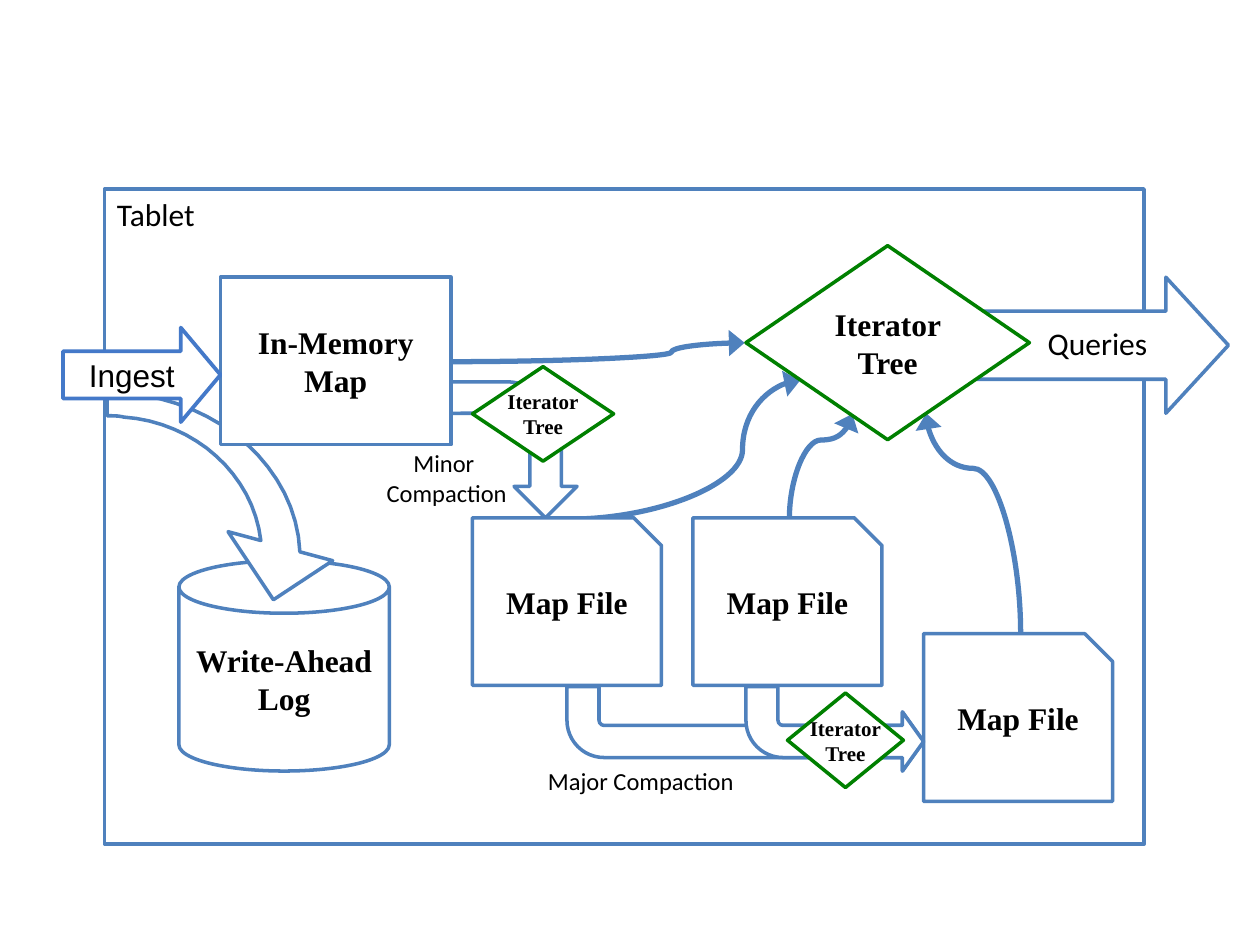
import pptx
import pptx.util
from pptx.dml.color import RGBColor
from pptx.enum.shapes import MSO_CONNECTOR, MSO_SHAPE
from pptx.enum.text import MSO_ANCHOR, PP_ALIGN
from pptx.oxml.ns import qn
from lxml import etree

BLUE = RGBColor(0x4F, 0x81, 0xBD)
INGEST_BLUE = RGBColor(0x44, 0x79, 0xC9)
GREEN = RGBColor(0, 0x80, 0)
WHITE = RGBColor(255, 255, 255)
BLACK = RGBColor(0, 0, 0)
SERIF, SANS, ARIAL = "Times New Roman", "Calibri", "Arial"

UNITS_PER_INCH = 1000
MAP_WIDTH, MAP_HEIGHT, MAP_CORNER = 1.5, 1.33, 0.22
MAP_FILES = {"lower": (7.33, 5.03), "left": (3.75, 4.11), "right": (5.5, 4.11)}
MAJOR_STARTS = (4.5, 5.92)
MAJOR_TOP, MAJOR_TIP, MAJOR_HEIGHT = 5.45, 7.33, 0.67
MAJOR_BEND = (0.38, 0.35, 0.25, 0.44)
MINOR_BEND = (0.25, 0.25, 0.25, 0.44)
LOG_ARROW_START = (0.85, 3.11)
LOG_ARROW = [
    [(0.89, 3.11), (0.94, 3.11), (0.99, 3.12)],
    [(1.75, 3.18), (2.35, 3.72), (2.38, 4.38)],
    [(2.64, 4.45)], [(2.17, 4.76)], [(1.81, 4.22)], [(2.07, 4.29)],
    [(2.01, 3.77), (1.55, 3.35), (0.98, 3.31)],
    [(0.94, 3.3), (0.89, 3.3), (0.85, 3.3)],
]
QUERY_CURVES = [
    ((3.58, 2.72, 2.33, 0.15), 180, "flipV"),
    ((6.1, 3.45, 0.83, 0.5), 90, None),
    ((4.52, 3.02, 1.83, 1.1), 180, "flipV"),
    ((6.85, 3.78, 1.75, 0.75), 270, "flipH"),
]

deck = pptx.Presentation()
deck.slide_width = pptx.util.Inches(10)
deck.slide_height = pptx.util.Inches(7.5)
page = deck.slides.add_slide(deck.slide_layouts[6])


def inches(values):
    return [pptx.util.Inches(value) for value in values]


def paint(shape, color=BLUE, width=2):
    shape.shadow.inherit = False
    shape.fill.solid()
    shape.fill.fore_color.rgb = WHITE
    shape.line.color.rgb = color
    shape.line.width = pptx.util.Pt(width)


def write(shape, lines, size=18, font=SERIF, align=PP_ALIGN.CENTER,
          anchor=MSO_ANCHOR.MIDDLE, side=0.1, wrap=True):
    frame = shape.text_frame
    frame.word_wrap = wrap
    frame.vertical_anchor = anchor
    frame.margin_left = frame.margin_right = pptx.util.Inches(side)
    frame.margin_top = frame.margin_bottom = pptx.util.Inches(0.05)
    for index, line in enumerate(lines):
        para = frame.paragraphs[0] if index == 0 else frame.add_paragraph()
        para.alignment = align
        span = para.add_run()
        span.text = line
        span.font.size = pptx.util.Pt(size)
        span.font.name = font
        span.font.bold = font == SERIF
        span.font.color.rgb = BLACK


def add_box(kind, place, adjustments=(), color=BLUE, width=2):
    box = page.shapes.add_shape(kind, *inches(place))
    paint(box, color, width)
    for index, value in enumerate(adjustments):
        box.adjustments[index] = value
    return box


def add_outline(points):
    corners = [(round(x * UNITS_PER_INCH), round(y * UNITS_PER_INCH)) for x, y in points]
    builder = page.shapes.build_freeform(
        *corners[0], scale=pptx.util.Inches(1) / UNITS_PER_INCH)
    builder.add_line_segments(corners[1:], close=True)
    outline = builder.convert_to_shape()
    paint(outline)
    return outline


def add_label(place, lines, size=14, align=PP_ALIGN.CENTER):
    label = page.shapes.add_textbox(*inches(place))
    write(label, lines, size, SANS, align, MSO_ANCHOR.TOP)


def add_map_file(name):
    left, top = MAP_FILES[name]
    right, bottom = left + MAP_WIDTH, top + MAP_HEIGHT
    sheet = add_outline([(left, top), (right - MAP_CORNER, top),
                         (right, top + MAP_CORNER), (right, bottom), (left, bottom)])
    write(sheet, ["Map File"])


def add_iterator_tree(place, lines, size=12, side=0, wrap=False):
    diamond = add_box(MSO_SHAPE.FLOWCHART_DECISION, place, color=GREEN)
    write(diamond, lines, size, side=side, wrap=wrap)


def curve_points(start, controls, steps=16):
    first, second, end = controls
    for step in range(1, steps + 1):
        t = step / steps
        yield tuple((1 - t) ** 3 * a + 3 * (1 - t) ** 2 * t * b
                    + 3 * (1 - t) * t ** 2 * c + t ** 3 * d
                    for a, b, c, d in zip(start, first, second, end))


def add_log_arrow():
    points = [LOG_ARROW_START]
    for segment in LOG_ARROW:
        points += curve_points(points[-1], segment) if len(segment) == 3 else segment
    add_outline(points)


def add_query_curve(place, turn, flip):
    left, top, width, height = place
    curve = page.shapes.add_connector(
        MSO_CONNECTOR.CURVE, *inches((left, top, left + width, top + height)))
    curve.line.color.rgb = BLUE
    curve.line.width = pptx.util.Pt(3)
    properties = curve._element.spPr
    frame = properties.find(qn("a:xfrm"))
    frame.set("rot", str(turn * 60000))
    if flip:
        frame.set(flip, "1")
    guides = properties.find(qn("a:prstGeom")).find(qn("a:avLst"))
    etree.SubElement(guides, qn("a:gd"), name="adj1", fmla="val 25000")
    etree.SubElement(properties.find(qn("a:ln")), qn("a:headEnd"),
                     type="triangle", w="lg", len="med")
    etree.SubElement(properties, qn("a:effectLst"))


tablet = add_box(MSO_SHAPE.RECTANGLE, (0.83, 1.5, 8.25, 5.2))
write(tablet, ["Tablet"], font=SANS, align=PP_ALIGN.LEFT, anchor=MSO_ANCHOR.TOP)
log = add_box(MSO_SHAPE.CAN, (1.42, 4.45, 1.67, 1.67), [0.25])
write(log, ["Write-Ahead", "Log"])
add_log_arrow()

add_map_file("lower")
for start in MAJOR_STARTS:
    place = (start, MAJOR_TOP, MAJOR_TIP - start, MAJOR_HEIGHT)
    arrow = add_box(MSO_SHAPE.BENT_ARROW, place, MAJOR_BEND)
    arrow._element.spPr.find(qn("a:xfrm")).set("flipV", "1")
add_label((4.25, 6.03, 2.17, 0.33), ["Major Compaction"], align=PP_ALIGN.LEFT)

minor = add_box(MSO_SHAPE.BENT_ARROW, (3.54, 3.07, 1.08, 1), MINOR_BEND)
minor.rotation = 90
add_label((2.92, 3.51, 1.25, 0.57), ["Minor ", "Compaction"])

for place, turn, flip in QUERY_CURVES:
    add_query_curve(place, turn, flip)

add_iterator_tree((6.25, 5.5, 0.92, 0.75), ["Iterator", "Tree"])
add_iterator_tree((3.75, 2.91, 1.12, 0.75), ["Iterator", "Tree"])
add_map_file("left")
add_map_file("right")
memory = add_box(MSO_SHAPE.RECTANGLE, (1.75, 2.2, 1.83, 1.33))
write(memory, ["In-Memory Map"])

add_box(MSO_SHAPE.RIGHT_ARROW, (7.75, 2.2, 2, 1.08), (0.5, 0.46))
add_label((8.17, 2.52, 1.08, 0.4), ["Queries"], 18)
add_iterator_tree((5.92, 1.95, 2.25, 1.54), ["Iterator Tree"], 18, 0.1, True)
ingest = add_box(MSO_SHAPE.RIGHT_ARROW, (0.5, 2.6, 1.25, 0.75), (0.5, 0.42),
                 INGEST_BLUE, 2.15)
write(ingest, ["Ingest"], font=ARIAL)

deck.save("out.pptx")
